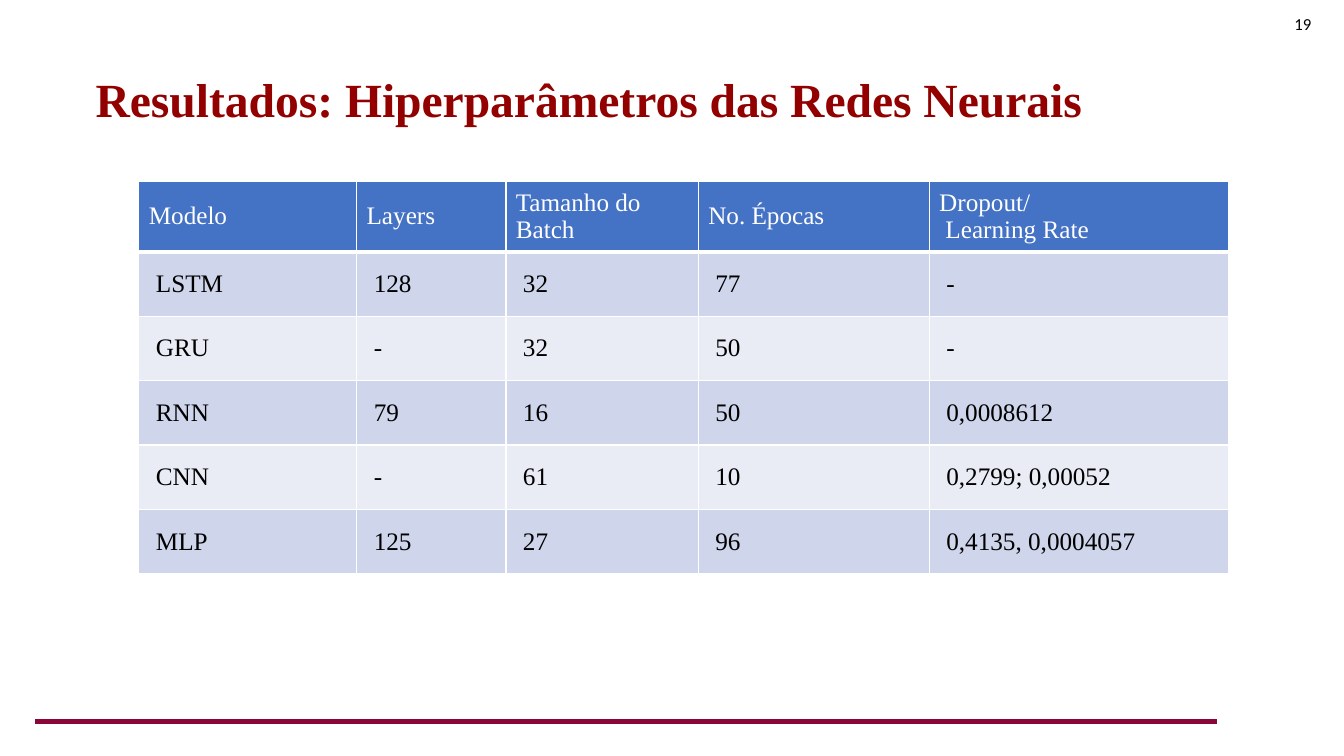
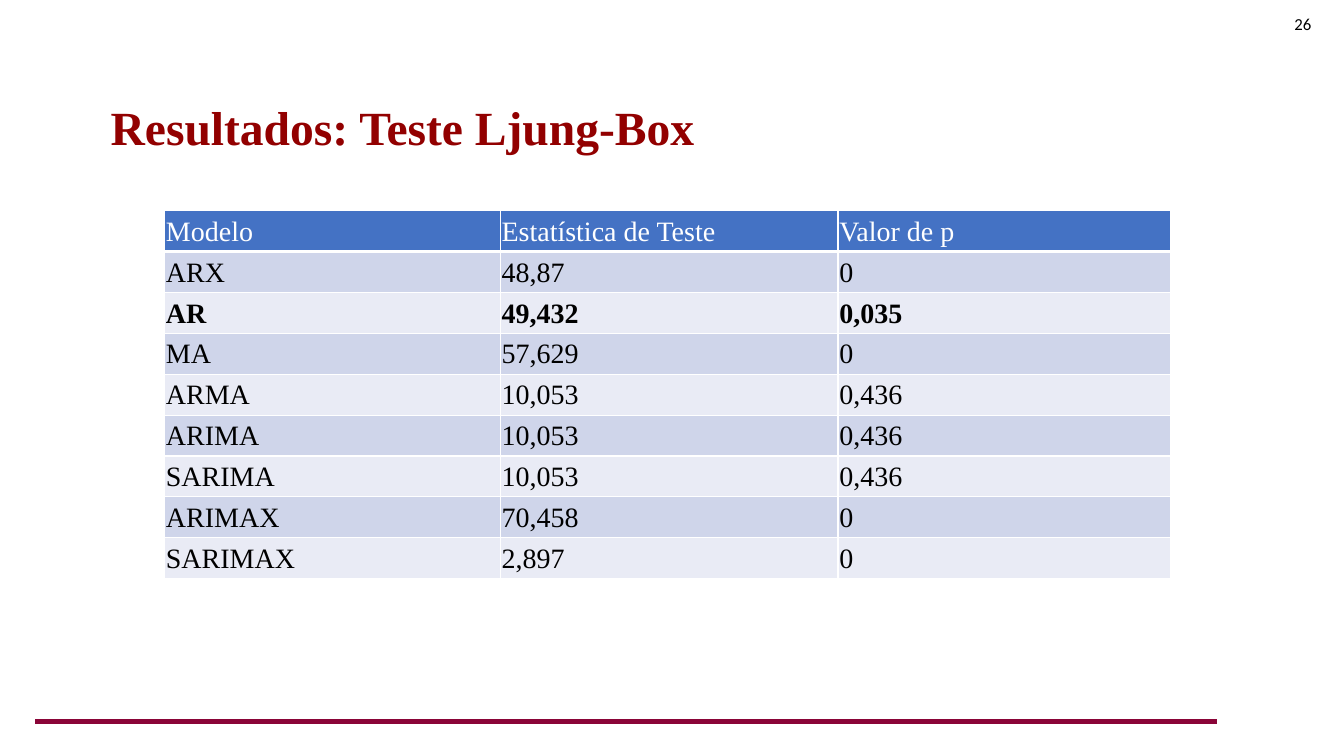
from dataclasses import dataclass

import pptx
import pptx.dml.color
import pptx.enum.shapes
import pptx.enum.text
import pptx.util
from lxml import etree
from pptx.oxml.ns import qn

Cm = pptx.util.Cm
Pt = pptx.util.Pt
Anchor = pptx.enum.text.MSO_ANCHOR
Align = pptx.enum.text.PP_ALIGN


@dataclass(frozen=True)
class Theme:
    title_color: str = "920000"
    rule_color: str = "8A0538"
    header_fill: str = "4472C4"
    band_fills: tuple = ("CFD5EA", "E9EBF5")
    white: str = "FFFFFF"
    black: str = "000000"
    serif: str = "Times New Roman"
    sans: str = "Calibri"
    title_size: int = 34
    number_size: int = 12
    rule_width: int = 3
    border_width: int = 1
    header_border_width: int = 3


@dataclass(frozen=True)
class TableStyle:
    """Type size in points; heights and margins (left, top, right, bottom) in cm."""
    text_size: int
    header_height: float
    row_height: float
    header_margins: tuple
    body_margins: tuple


THEME = Theme()
ROOMY = TableStyle(18, 1.64, 1.56, (0.25, 0.13, 0.25, 0.13), (0.43,) * 4)
TIGHT = TableStyle(20, 1.03, 1.03, (0.03, 0.03, 0.03, 0), (0.03, 0.03, 0.03, 0))

TITLE_SIZE = (28.8, 2.46)
NUMBER_BOX = (25.68, 0.1, 7.62, 1.02)
FOOTER_RULE = (0.89, 18.18, 29.77)

HYPERPARAMETERS = [
    ("Modelo", "Layers", "Tamanho do Batch", "No. Épocas", "Dropout/\v Learning Rate"),
    ("LSTM", "128", "32", "77", "-"),
    ("GRU", "-", "32", "50", "-"),
    ("RNN", "79", "16", "50", "0,0008612"),
    ("CNN", "-", "61", "10", "0,2799; 0,00052"),
    ("MLP", "125", "27", "96", "0,4135, 0,0004057"),
]

LJUNG_BOX = [
    ("Modelo", "Estatística de Teste", "Valor de p"),
    ("ARX", "48,87", "0"),
    ("AR", "49,432", "0,035"),
    ("MA", "57,629", "0"),
    ("ARMA", "10,053", "0,436"),
    ("ARIMA", "10,053", "0,436"),
    ("SARIMA", "10,053", "0,436"),
    ("ARIMAX", "70,458", "0"),
    ("SARIMAX", "2,897", "0"),
]


def rgb(value):
    return pptx.dml.color.RGBColor.from_string(value)


def style_paragraph(paragraph, size, color, name, bold=False):
    font = paragraph.font
    font.size = Pt(size)
    font.name = name
    font.bold = bold
    font.color.rgb = rgb(color)


def add_text(slide, box, text, anchor):
    """Add a wrapped text box and return its paragraph."""
    shape = slide.shapes.add_textbox(*(Cm(length) for length in box))
    frame = shape.text_frame
    frame.word_wrap = True
    frame.vertical_anchor = anchor
    frame.text = text
    return frame.paragraphs[0]


def add_title(slide, position, text):
    paragraph = add_text(slide, position + TITLE_SIZE, text, Anchor.BOTTOM)
    paragraph.line_spacing = 0.8
    style_paragraph(paragraph, THEME.title_size, THEME.title_color, THEME.serif, bold=True)


def add_slide_number(slide, box, number):
    paragraph = add_text(slide, box, str(number), Anchor.MIDDLE)
    paragraph.alignment = Align.RIGHT
    style_paragraph(paragraph, THEME.number_size, THEME.black, THEME.sans)


def add_footer_rule(slide, left, top, width):
    connector = slide.shapes.add_connector(
        pptx.enum.shapes.MSO_CONNECTOR.STRAIGHT,
        Cm(left), Cm(top), Cm(left + width), Cm(top))
    connector.line.color.rgb = rgb(THEME.rule_color)
    connector.line.width = Pt(THEME.rule_width)
    etree.SubElement(connector._element.spPr, qn("a:effectLst"))


def set_borders(cell, top_width, bottom_width):
    """Draw white cell borders; the side borders keep the theme's width."""
    side = THEME.border_width
    widths = {"lnL": side, "lnR": side, "lnT": top_width, "lnB": bottom_width}
    properties = cell._tc.get_or_add_tcPr()
    for index, (tag, width) in enumerate(widths.items()):
        line = etree.Element(qn(f"a:{tag}"), w=str(Pt(width)))
        fill = etree.SubElement(line, qn("a:solidFill"))
        etree.SubElement(fill, qn("a:srgbClr"), val=THEME.white)
        properties.insert(index, line)


def fill_cell(cell, text, row_index, style, bold):
    is_header = row_index == 0
    margins = style.header_margins if is_header else style.body_margins
    fill = THEME.header_fill if is_header else THEME.band_fills[(row_index - 1) % 2]
    cell.text = text
    cell.vertical_anchor = Anchor.MIDDLE
    (cell.margin_left, cell.margin_top,
     cell.margin_right, cell.margin_bottom) = (Cm(margin) for margin in margins)
    cell.fill.solid()
    cell.fill.fore_color.rgb = rgb(fill)
    thin, thick = THEME.border_width, THEME.header_border_width
    set_borders(cell, thick if row_index == 1 else thin, thick if is_header else thin)
    style_paragraph(cell.text_frame.paragraphs[0], style.text_size,
                    THEME.white if is_header else THEME.black, THEME.serif, bold)


def add_results_table(slide, position, column_widths, rows, style, bold_model=None):
    left, top = position
    height = style.header_height + style.row_height * (len(rows) - 1)
    table = slide.shapes.add_table(
        len(rows), len(column_widths),
        Cm(left), Cm(top), Cm(sum(column_widths)), Cm(height)).table
    table.horz_banding = False
    for column, width in zip(table.columns, column_widths):
        column.width = Cm(width)
    for row_index, values in enumerate(rows):
        table.rows[row_index].height = Cm(
            style.row_height if row_index else style.header_height)
        for column_index, text in enumerate(values):
            fill_cell(table.cell(row_index, column_index), text, row_index, style,
                      bold=values[0] == bold_model)


def add_results_slide(presentation, number, title, title_position):
    """Add a slide with the shared rule, title and number."""
    slide = presentation.slides.add_slide(presentation.slide_layouts[6])
    add_footer_rule(slide, *FOOTER_RULE)
    add_title(slide, title_position, title)
    add_slide_number(slide, NUMBER_BOX, number)
    return slide


def main():
    presentation = pptx.Presentation()
    presentation.slide_width = Cm(33.87)
    presentation.slide_height = Cm(19.05)

    slide = add_results_slide(
        presentation, 19, "Resultados: Hiperparâmetros das Redes Neurais", (2.16, 0.86))
    add_results_table(slide, (3.5, 4.56), (5.49, 3.76, 4.85, 5.82, 7.54),
                      HYPERPARAMETERS, ROOMY)

    slide = add_results_slide(
        presentation, 26, "Resultados: Teste Ljung-Box", (2.54, 1.55))
    add_results_table(slide, (4.15, 5.31), (8.46, 8.51, 8.38),
                      LJUNG_BOX, TIGHT, bold_model="AR")

    presentation.save("out.pptx")


if __name__ == "__main__":
    main()
